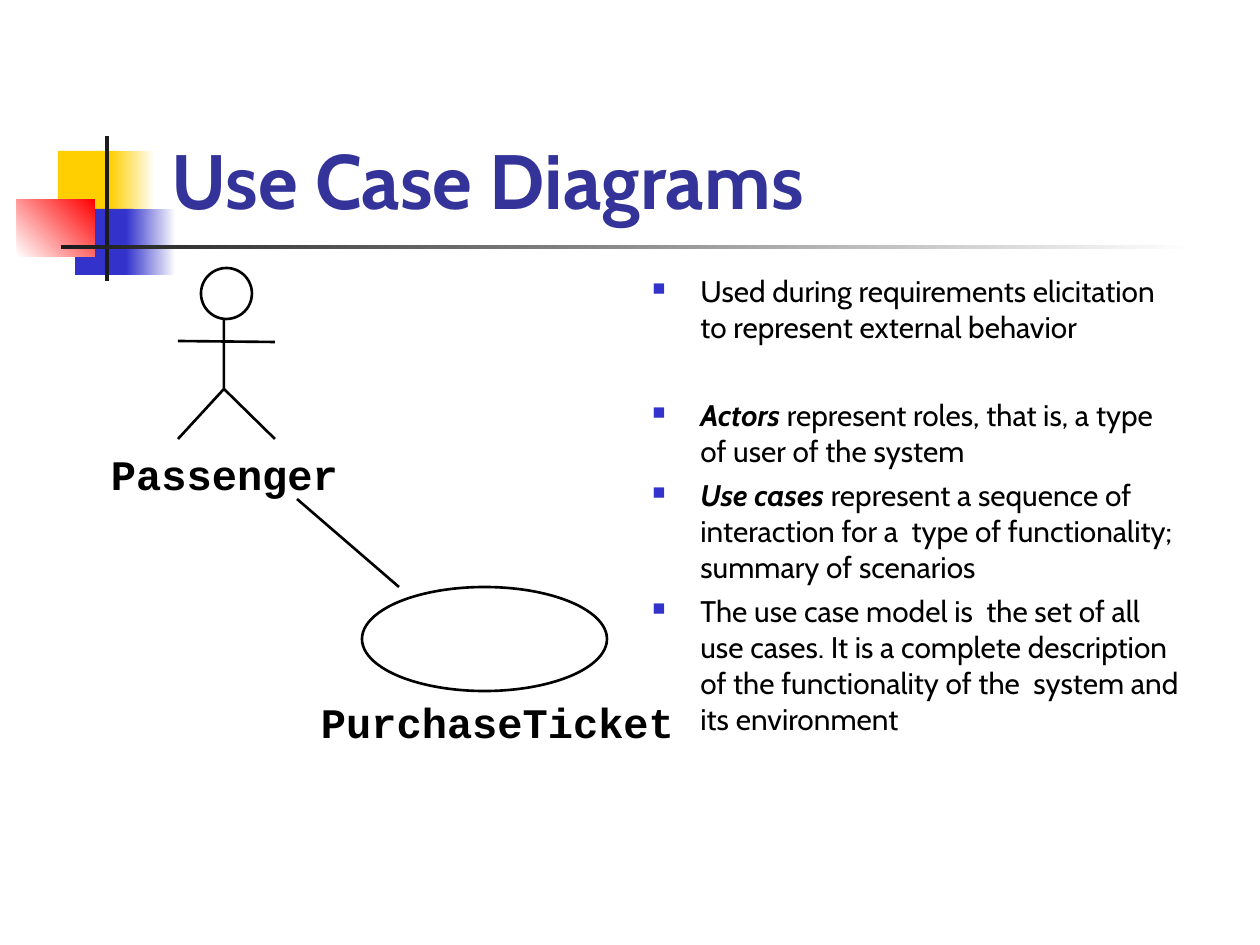
from lxml.etree import SubElement
from pptx import Presentation
from pptx.dml.color import RGBColor
from pptx.enum.shapes import MSO_CONNECTOR as CONN, MSO_SHAPE as SHAPE
from pptx.enum.text import MSO_ANCHOR as ANCHOR
from pptx.oxml.ns import qn
from pptx.util import Pt

PX = 914400 / 126  # EMU in one px
BLACK = RGBColor(0x00, 0x00, 0x00)
WHITE = RGBColor(0xFF, 0xFF, 0xFF)
YELLOW = RGBColor(0xFF, 0xCF, 0x01)
BLUE = RGBColor(0x33, 0x33, 0xCC)
RED = RGBColor(0xFF, 0x00, 0x00)
CHARCOAL = RGBColor(0x1C, 0x1C, 0x1C)
TITLE_BLUE = RGBColor(0x33, 0x33, 0x99)
INDENT = 48


def emu(*px):
    return [round(v * PX) for v in px]


def add_run(p, text, size=17, font="Cabin", color=BLACK, bold=False, italic=False):
    r = p.add_run()
    r.text = text
    f = r.font
    f.size, f.name, f.bold, f.italic = Pt(size), font, bold, italic
    f.color.rgb = color


class Sketch:
    line_width = Pt(1.5)

    def __init__(self, s):
        self.s = s

    def outline(self, sp):
        sp.line.color.rgb = BLACK
        sp.line.width = self.line_width

    def block(self, box, start, end=None, angle=0):
        sp = self.s.shapes.add_shape(SHAPE.RECTANGLE, *emu(*box))
        sp.shadow.inherit = False
        sp.line.fill.background()
        if end is None:
            sp.fill.solid()
            sp.fill.fore_color.rgb = start
            return
        sp.fill.gradient()
        sp.fill.gradient_angle = angle
        for stop, color, pos in zip(sp.fill.gradient_stops, (start, end), (0, 1)):
            stop.color.rgb = color
            stop.position = pos

    def ellipse(self, box):
        sp = self.s.shapes.add_shape(SHAPE.OVAL, *emu(*box))
        sp.shadow.inherit = False
        sp.fill.solid()
        sp.fill.fore_color.rgb = WHITE
        self.outline(sp)

    def line(self, *ends):
        c = self.s.shapes.add_connector(CONN.STRAIGHT, *emu(*ends))
        self.outline(c)
        SubElement(c._element.spPr, qn("a:effectLst"))

    def polyline(self, start, *points):
        builder = self.s.shapes.build_freeform(*start, scale=PX)
        builder.add_line_segments(points, close=False)
        sp = builder.convert_to_shape()
        sp.shadow.inherit = False
        sp.fill.background()
        self.outline(sp)

    def text_frame(self, box, wrap=True, anchor=ANCHOR.TOP):
        tf = self.s.shapes.add_textbox(*emu(*box)).text_frame
        tf.word_wrap = wrap
        tf.vertical_anchor = anchor
        return tf

    def title(self, box, text):
        tf = self.text_frame(box, anchor=ANCHOR.BOTTOM)
        add_run(tf.paragraphs[0], text, size=44, color=TITLE_BLUE, bold=True)

    def label(self, box, text):
        tf = self.text_frame(box, wrap=False)
        tf.margin_left = tf.margin_top = tf.margin_right = tf.margin_bottom = 0
        add_run(tf.paragraphs[0], text, size=24, font="Courier New", bold=True)

    def bullets(self, box, items):
        tf = self.text_frame(box)
        for i, (term, text, before) in enumerate(items):
            p = tf.add_paragraph() if i else tf.paragraphs[0]
            p.space_before = Pt(before)
            pPr = p._p.get_or_add_pPr()
            indent, = emu(INDENT)
            pPr.set("marL", str(indent))
            pPr.set("indent", str(-indent))
            SubElement(SubElement(pPr, qn("a:buClr")), qn("a:srgbClr"), val=str(BLUE))
            SubElement(pPr, qn("a:buSzPct"), val="60000")
            SubElement(pPr, qn("a:buChar"), char="■")
            if term:
                add_run(p, term, bold=True, italic=True)
            add_run(p, text)


def main():
    prs = Presentation()
    prs.slide_width, prs.slide_height = emu(1260, 945)
    sk = Sketch(prs.slides.add_slide(prs.slide_layouts[6]))

    # Corner ornament and rule
    sk.block((58, 151, 60, 66), YELLOW)
    sk.block((110, 151, 45, 66), YELLOW, WHITE)
    sk.block((75, 209, 58, 66), BLUE)
    sk.block((126, 209, 50, 66), BLUE, WHITE)
    sk.block((17, 199, 78, 58), WHITE, RED, angle=45)
    sk.block((105, 136, 4, 145), CHARCOAL)
    sk.block((61, 245, 1134, 4), CHARCOAL, WHITE)

    # Title and bullets
    sk.title((159, 29, 1074, 202), "Use Case Diagrams")
    sk.bullets((640, 267, 556, 620), [
        ("", "Used during requirements elicitation to represent external behavior", 5),
        ("Actors", " represent roles, that is, a type of user of the system", 30),
        ("Use cases", " represent a sequence of interaction for a  type of "
                      "functionality; summary of scenarios", 5),
        ("", "The use case model is  the set of all use cases. It is a complete "
             "description of the functionality of the  system and its environment", 5),
    ])

    # Actor: body with left leg, right leg, arms, head
    sk.polyline((224, 304), (224, 389), (178, 439))
    sk.line(224, 389, 275, 439)
    sk.line(178, 341, 275, 342)
    sk.ellipse((201, 268, 51, 51))
    sk.label((111, 449, 227, 50), "Passenger")

    # Use case and its link to the actor
    sk.ellipse((362, 587, 245, 104))
    sk.label((321, 697, 353, 50), "PurchaseTicket")
    sk.line(297, 499, 399, 587)

    prs.save("out.pptx")


if __name__ == "__main__":
    main()
